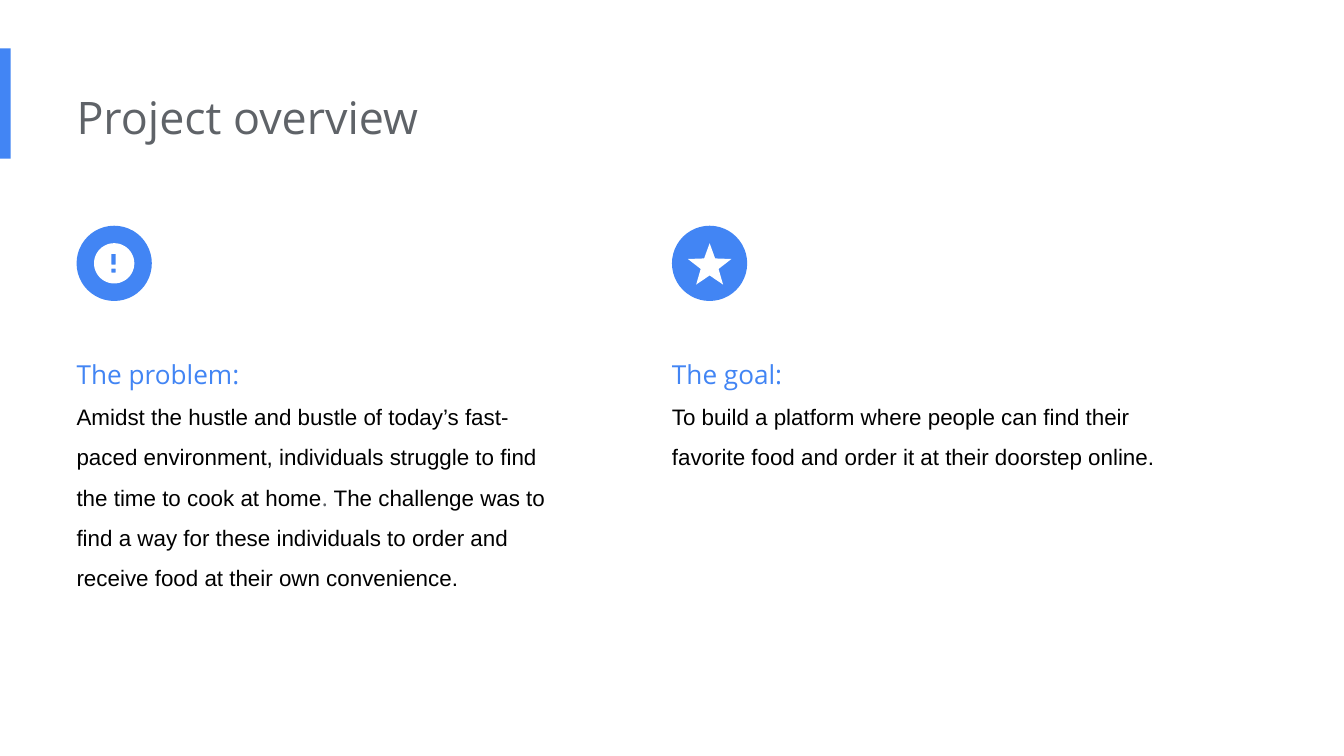
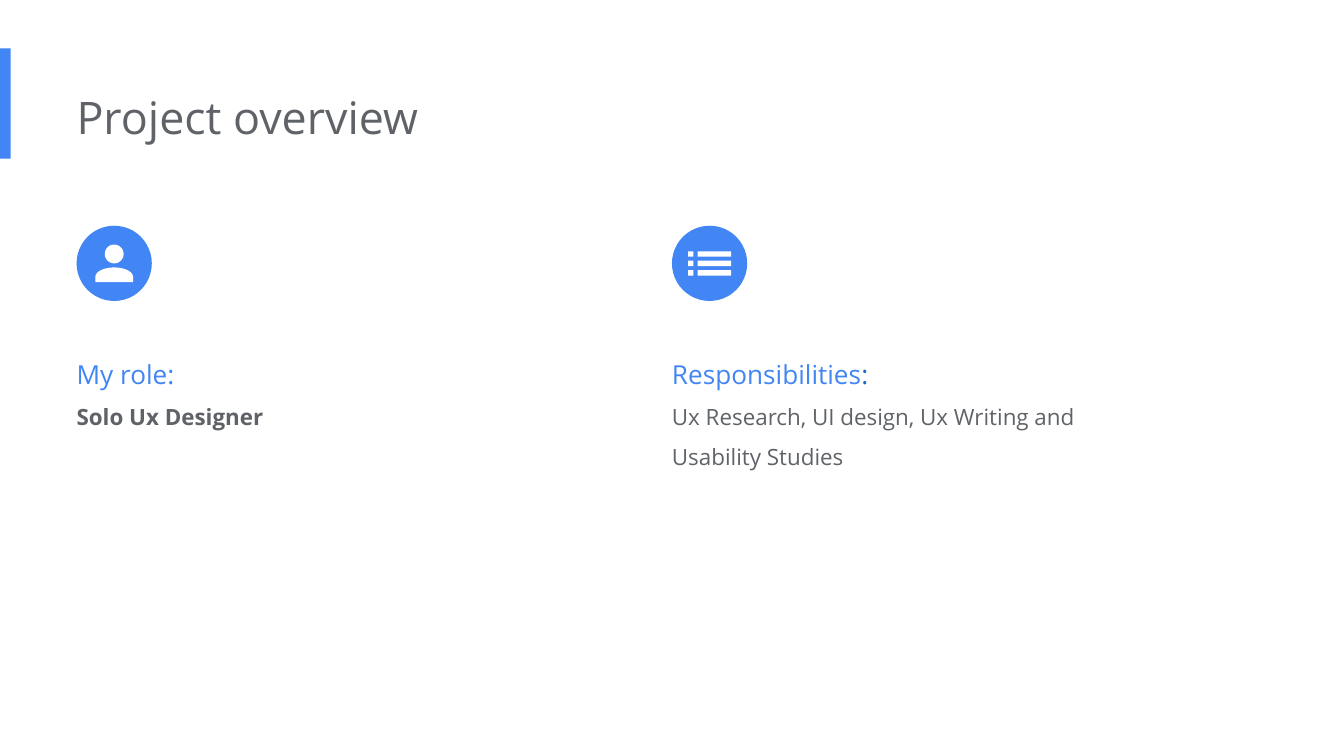
"""Build two project overview slides, each with two icon columns."""
from math import cos, pi, sin

from pptx import Presentation
from pptx.dml.color import RGBColor
from pptx.enum.shapes import MSO_SHAPE
from pptx.enum.text import MSO_AUTO_SIZE
from pptx.util import Inches, Pt

RECT, OVAL = MSO_SHAPE.RECTANGLE, MSO_SHAPE.OVAL
FIT = MSO_AUTO_SIZE.SHAPE_TO_FIT_TEXT

BLUE, DARK_BLUE, GREY, BLACK, WHITE = "4285F4", "1967D2", "5F6368", "000000", "FFFFFF"
SANS, ARIAL = "Open Sans", "Arial"
SLIDE_W = 10
SLIDE_H = SLIDE_W * 9 / 16
TITLE = "Project overview"
COLUMNS = (0.57, 5)
COLUMN_W, TEXT_TOP = 3.77, 2.45
DISC_TOP, DISC = 1.68, 0.56

HEAD = (14, SANS, BLUE, False)
COLON = (14, SANS, DARK_BLUE, False)
BODY = (12, ARIAL, BLACK, False)
SOFT = (12, SANS, GREY, False)
STRONG = (12, SANS, GREY, True)

SLIDES = [
    [
        {"icon": "alert", "lines": 5, "text": [
            [("The problem:", HEAD)],
            [("Amidst the hustle and bustle of today’s fast-paced environment, "
              "individuals struggle to find the time to cook at home", BODY),
             (".", SOFT),
             (" The challenge was to find a way for these individuals to order "
              "and receive food at their own convenience.", BODY)]]},
        {"icon": "star", "lines": 2, "text": [
            [("The goal:", HEAD)],
            [("To build a platform where people can find their favorite food "
              "and order it at their doorstep online.", BODY)]]},
    ],
    [
        {"icon": "person", "lines": 1, "text": [
            [("My role:", HEAD)],
            [("Solo Ux Designer", STRONG)]]},
        {"icon": "list", "lines": 2, "text": [
            [("Responsibilities", HEAD), (":", COLON)],
            [("Ux Research, UI design, Ux Writing and Usability Studies", SOFT)]]},
    ],
]


def rgb(value):
    return RGBColor.from_string(value)


def arc(cx, cy, rx, ry, sweep=2 * pi, steps=48):
    angles = [pi + sweep * i / steps for i in range(steps + 1)]
    return [(cx + rx * cos(a), cy + ry * sin(a)) for a in angles]


def box(x, y, w, h):
    return [(x, y), (x + w, y), (x + w, y + h), (x, y + h)]


def star(cy, outer, inner):
    radii = [(outer, inner)[i % 2] for i in range(10)]
    return [(r * sin(i * pi / 5), cy - r * cos(i * pi / 5)) for i, r in enumerate(radii)]


ICONS = {
    "alert": [box(-0.02, -0.07, 0.03, 0.08), box(-0.02, 0.04, 0.03, 0.03),
              arc(0, 0, 0.15, 0.15)],
    "star": [star(0.02, 0.17, 0.07)],
    "person": [arc(0, -0.07, 0.07, 0.07),
               arc(0, 0.1, 0.14, 0.07, pi) + [(0.14, 0.14), (-0.14, 0.14)]],
    "list": [box(x, -0.09 + 0.07 * row, w, 0.04)
             for row in range(3) for x, w in ((-0.16, 0.04), (-0.09, 0.25))],
}


def paint(sp, color):
    sp.shadow.inherit = False
    sp.fill.solid()
    sp.fill.fore_color.rgb = rgb(color)
    sp.line.fill.background()


def add_solid(s, kind, x, y, w, h):
    sp = s.shapes.add_shape(kind, Inches(x), Inches(y), Inches(w), Inches(h))
    paint(sp, BLUE)


def add_icon(s, name, cx, cy):
    builder = None
    for contour in ICONS[name]:
        points = [(Inches(cx + x), Inches(cy + y)) for x, y in contour]
        if builder is None:
            builder = s.shapes.build_freeform(*points[0], scale=1.0)
        else:
            builder.move_to(*points[0])
        builder.add_line_segments(points[1:], close=True)
    paint(builder.convert_to_shape(), WHITE)


def add_text(s, x, y, w, h, paragraphs, spacing):
    sp = s.shapes.add_textbox(Inches(x), Inches(y), Inches(w), Inches(h))
    tf = sp.text_frame
    tf.word_wrap = True
    tf.auto_size = FIT
    tf.margin_left = 0
    tf.margin_right = tf.margin_top = tf.margin_bottom = Inches(0.1)
    for i, runs in enumerate(paragraphs):
        p = tf.add_paragraph() if i else tf.paragraphs[0]
        p.line_spacing = spacing
        for text, (size, font, color, bold) in runs:
            r = p.add_run()
            r.text = text
            r.font.size, r.font.name, r.font.bold = Pt(size), font, bold
            r.font.color.rgb = rgb(color)


def add_column(s, x, column):
    height = 0.56 + 0.3 * column["lines"]
    add_text(s, x, TEXT_TOP, COLUMN_W, height, column["text"], 1.5)
    add_solid(s, OVAL, x, DISC_TOP, DISC, DISC)
    add_icon(s, column["icon"], x + DISC / 2, DISC_TOP + DISC / 2)


def main():
    prs = Presentation()
    prs.slide_width, prs.slide_height = Inches(SLIDE_W), Inches(SLIDE_H)
    for columns in SLIDES:
        s = prs.slides.add_slide(prs.slide_layouts[6])
        add_solid(s, RECT, 0, 0.36, 0.08, 0.82)
        add_text(s, COLUMNS[0], 0.57, 6.73, 0.61, [[(TITLE, (24, SANS, GREY, False))]], 1.0)
        for x, column in zip(COLUMNS, columns):
            add_column(s, x, column)
    prs.save("out.pptx")


if __name__ == "__main__":
    main()
